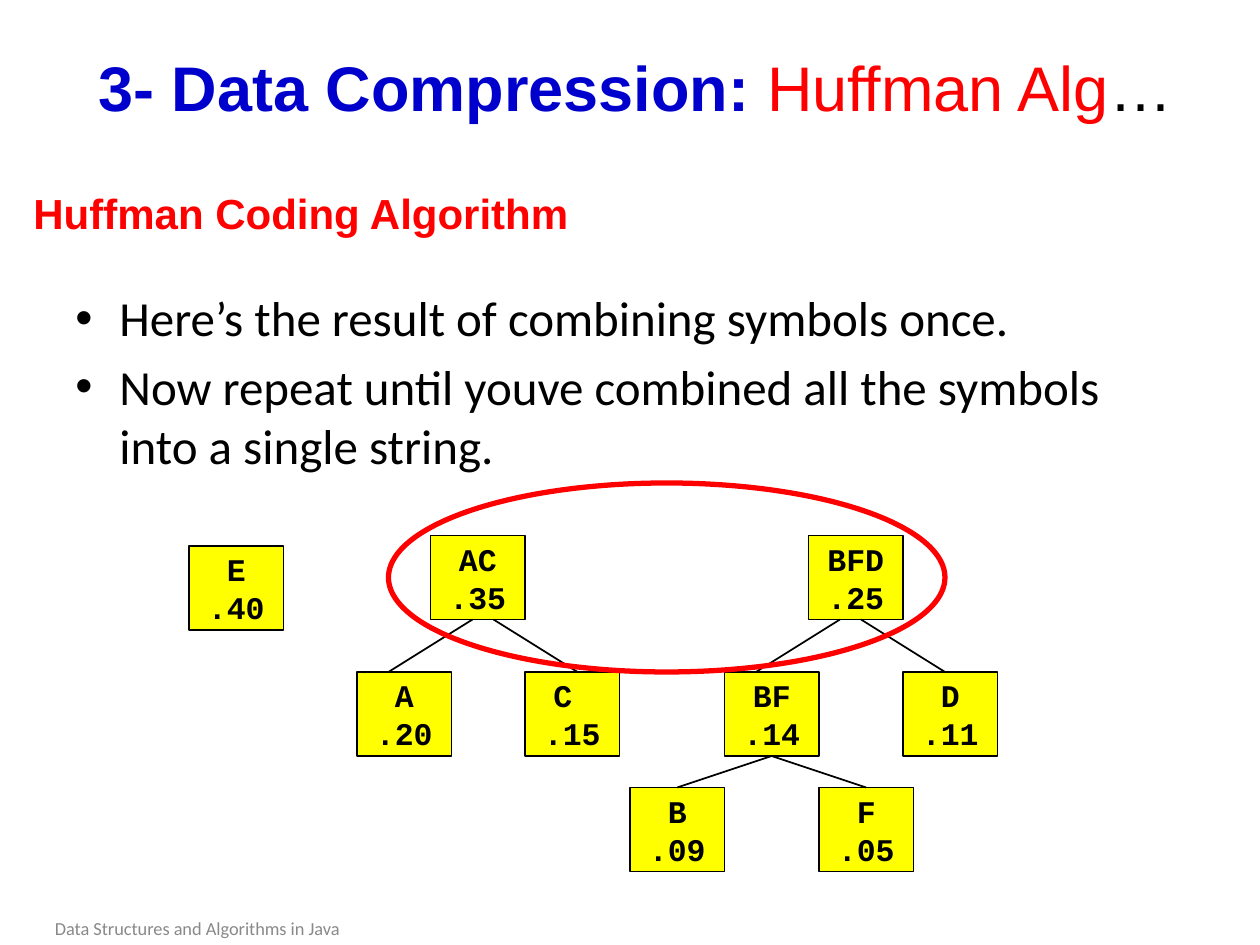
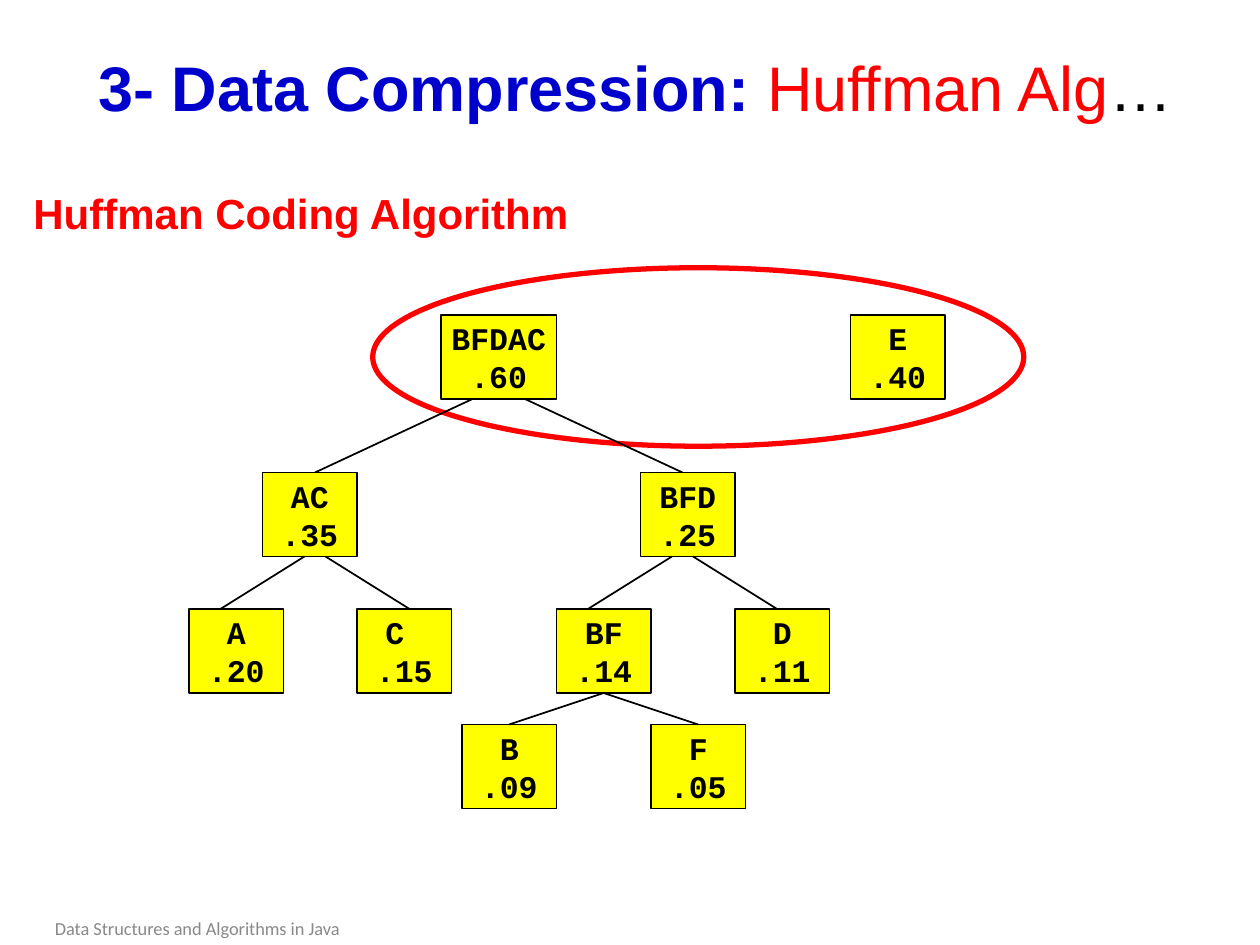
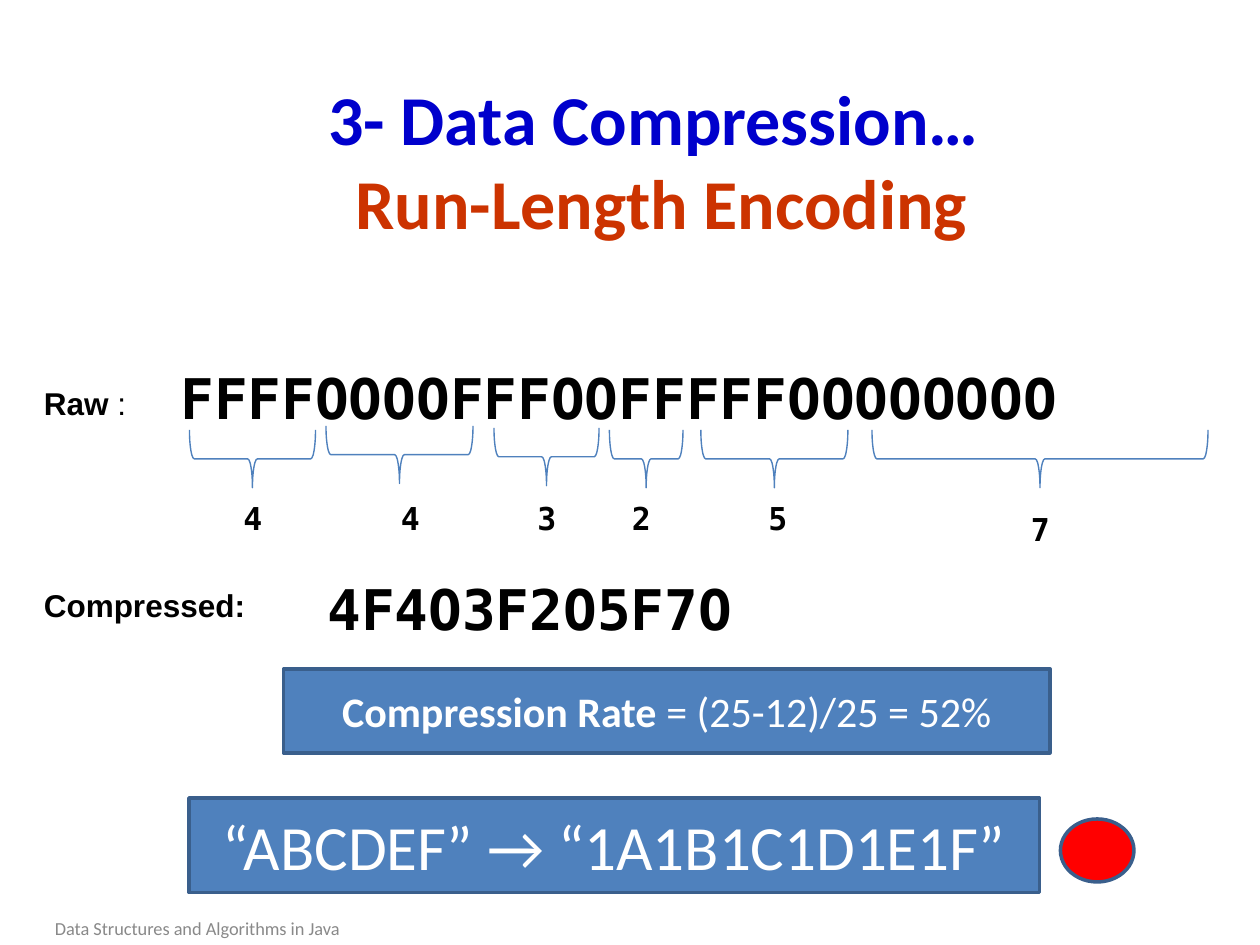
"""Build three slides on Huffman coding and run-length encoding."""
from lxml import etree
from pptx import Presentation, util as u
from pptx.dml.color import RGBColor
from pptx.enum import shapes, text
from pptx.oxml import ns

BLACK = RGBColor(0x00, 0x00, 0x00)
WHITE = RGBColor(0xFF, 0xFF, 0xFF)
GREY = RGBColor(0x89, 0x89, 0x89)
NAVY = RGBColor(0x00, 0x00, 0xCC)
RED = RGBColor(0xFF, 0x00, 0x00)
RUST = RGBColor(0xCC, 0x33, 0x00)
GOLD = RGBColor(0xFF, 0xFF, 0x00)
BLUE = RGBColor(0x4F, 0x81, 0xBD)
EDGE = RGBColor(0x3A, 0x5F, 0x8C)

SCALE = 7620
WIDE, HIGH = 90, 80
SANS, BODY, CODE, MONO = "Arial", "Calibri", "Courier New", "DejaVu Sans Mono"
MID, LEFT = text.PP_ALIGN.CENTER, text.PP_ALIGN.LEFT
FORM = shapes.MSO_SHAPE


def px(*nums):
    return [u.Emu(num * SCALE) for num in nums]


class Deck:
    def __init__(self):
        self.pres = Presentation()
        self.pres.slide_width, self.pres.slide_height = px(1200, 900)

    def start(self):
        self.slide = self.pres.slides.add_slide(self.pres.slide_layouts[6])
        self.items = self.slide.shapes
        self.label((0, 868, 380, 32), "Data Structures and Algorithms in Java ",
                   10.5, BODY, GREY, bold=False, align=MID, mid=True)

    def style(self, run, size, font, color, bold):
        run.font.size, run.font.name = u.Pt(size), font
        run.font.color.rgb, run.font.bold = color, bold

    def letter(self, item, words, size, font, color=BLACK, bold=True,
               align=LEFT, mid=False, wrap=True):
        frame = item.text_frame
        frame.text = words
        frame.word_wrap = wrap
        frame.vertical_anchor = text.MSO_ANCHOR.MIDDLE if mid else text.MSO_ANCHOR.TOP
        for para in frame.paragraphs:
            para.alignment = align
            for run in para.runs:
                self.style(run, size, font, color, bold)
        return frame

    def label(self, box, words, size, font, color=BLACK, **look):
        return self.letter(self.items.add_textbox(*px(*box)), words, size, font, color, **look)

    def extend(self, frame, words, size, font, color, bold):
        run = frame.paragraphs[0].add_run()
        run.text = words
        self.style(run, size, font, color, bold)

    def shape(self, form, box, fill, line, weight):
        item = self.items.add_shape(form, *px(*box))
        item.shadow.inherit = False
        if fill is None:
            item.fill.background()
        else:
            item.fill.solid()
            item.fill.fore_color.rgb = fill
        item.line.color.rgb, item.line.width = line, u.Pt(weight)
        return item

    def ring(self, *box):
        self.shape(FORM.OVAL, box, None, RED, 3)

    def node(self, x, y, words, wide=WIDE):
        item = self.shape(FORM.RECTANGLE, (x, y, wide, HIGH), GOLD, BLACK, 1)
        self.letter(item, words, 18, CODE, align=MID, mid=True, wrap=False)
        return item

    def panel(self, box, words, size, bold):
        item = self.shape(FORM.RECTANGLE, box, BLUE, EDGE, 2)
        return self.letter(item, words, size, BODY, WHITE, bold=bold, align=MID, mid=True)

    def line(self, *ends):
        link = self.items.add_connector(shapes.MSO_CONNECTOR.STRAIGHT, *px(*ends))
        link.line.color.rgb, link.line.width = BLACK, u.Pt(1)
        etree.SubElement(link._element.spPr, ns.qn("a:effectLst"))
        return link

    def fork(self, x, y, gap, reach, drop):
        self.line(x, y, x - reach, y + drop)
        self.line(x + gap, y, x + gap + reach, y + drop)

    def join(self, top, low):
        link = self.line(0, 0, 1, 1)
        link.begin_connect(top, 2)
        link.end_connect(low, 0)

    def tree(self, x, y):
        for dx, dy, words in ((0, 0, "AC\n.35"), (-70, 130, "A\n.20"), (90, 130, "C \n.15"),
                              (360, 0, "BFD\n.25"), (450, 130, "D\n.11")):
            self.node(x + dx, y + dy, words)
        for dx in (40, 390):
            self.fork(x + dx, y + HIGH, 20, 80, 50)
        top = self.node(x + 280, y + 130, "BF\n.14")
        for dx, words in ((190, "B\n.09"), (370, "F\n.05")):
            self.join(top, self.node(x + dx, y + 240, words))

    def brace(self, x, y, span):
        deep = 55
        item = self.shape(FORM.LEFT_BRACE, (x - deep // 2, y - span // 2, deep, span),
                          None, BLUE, 0.79)
        item.rotation = 270

    def heads(self):
        frame = self.label((50, 40, 1110, 85), "3- Data Compression: ", 36, SANS, NAVY,
                           align=MID, mid=True)
        self.extend(frame, "Huffman Alg", 36, SANS, RED, False)
        self.extend(frame, "…", 36, SANS, BLACK, False)
        self.label((20, 173, 560, 60), "Huffman Coding Algorithm", 24, SANS, RED)

    def points(self, box, words, inset):
        frame = self.label(box, words, 28, BODY, bold=False)
        frame.margin_top = px(inset)[0]
        for num, para in enumerate(frame.paragraphs):
            para.space_before = u.Pt(5.6 if num else 0)
            props = para._p.get_or_add_pPr()
            props.set("marL", str(42 * SCALE))
            props.set("indent", str(-42 * SCALE))
            etree.SubElement(props, ns.qn("a:buFont")).set("typeface", SANS)
            etree.SubElement(props, ns.qn("a:buChar")).set("char", "•")


def first(deck):
    deck.start()
    deck.heads()
    deck.points((60, 202, 1080, 260),
                "Here’s the result of combining symbols once.\n"
                "Now repeat until youve combined all the symbols into a single string.", 72)
    deck.node(180, 520, "E\n.40")
    deck.tree(410, 510)
    deck.ring(370, 460, 530, 180)


def second(deck):
    deck.start()
    deck.heads()
    deck.node(810, 300, "E\n.40")
    deck.ring(355, 255, 620, 170)
    deck.node(420, 300, "BFDAC\n.60", 110)
    deck.fork(450, 380, 50, 150, 70)
    deck.tree(250, 450)


def third(deck):
    deck.start()
    frame = deck.label((90, 65, 1080, 174), "3- Data Compression… ", 40, BODY, NAVY,
                       align=MID, mid=True)
    frame.paragraphs[0].add_line_break()
    deck.extend(frame, "Run-Length Encoding", 40, BODY, RUST, True)

    raw = deck.label((30, 360, 102, 48), "Raw", 18, SANS, wrap=False)
    deck.extend(raw, " :", 18, SANS, BLACK, False)
    deck.label((160, 340, 1040, 76), "FFFFOOOOFFFOOFFFFFOOOOOOOO", 32, MONO, mid=True)
    for x, y, span, left, top, count in (
            (240, 437, 120, 220, 469, "4"), (380, 433, 140, 370, 469, "4"),
            (520, 435, 100, 500, 469, "3"), (615, 437, 70, 590, 469, "2"),
            (737, 437, 140, 720, 469, "5"), (990, 437, 320, 970, 480, "7")):
        deck.brace(x, y, span)
        deck.label((left, top, 41, 48), count, 18, MONO, wrap=False)

    deck.label((30, 552, 216, 48), "Compressed:", 18, SANS, wrap=False)
    deck.label((300, 541, 440, 76), "4F4O3F2O5F7O", 32, MONO, mid=True)
    rate = deck.panel((270, 637, 730, 80), "Compression Rate ", 24, True)
    deck.extend(rate, "= (25-12)/25 = 52%", 24, BODY, WHITE, False)
    deck.panel((180, 760, 810, 90), "“ABCDEF” → “1A1B1C1D1E1F”", 36, False)
    deck.shape(FORM.OVAL, (1010, 780, 70, 60), RED, EDGE, 2)


def main():
    deck = Deck()
    for build in (first, second, third):
        build(deck)
    deck.pres.save("out.pptx")


if __name__ == "__main__":
    main()
